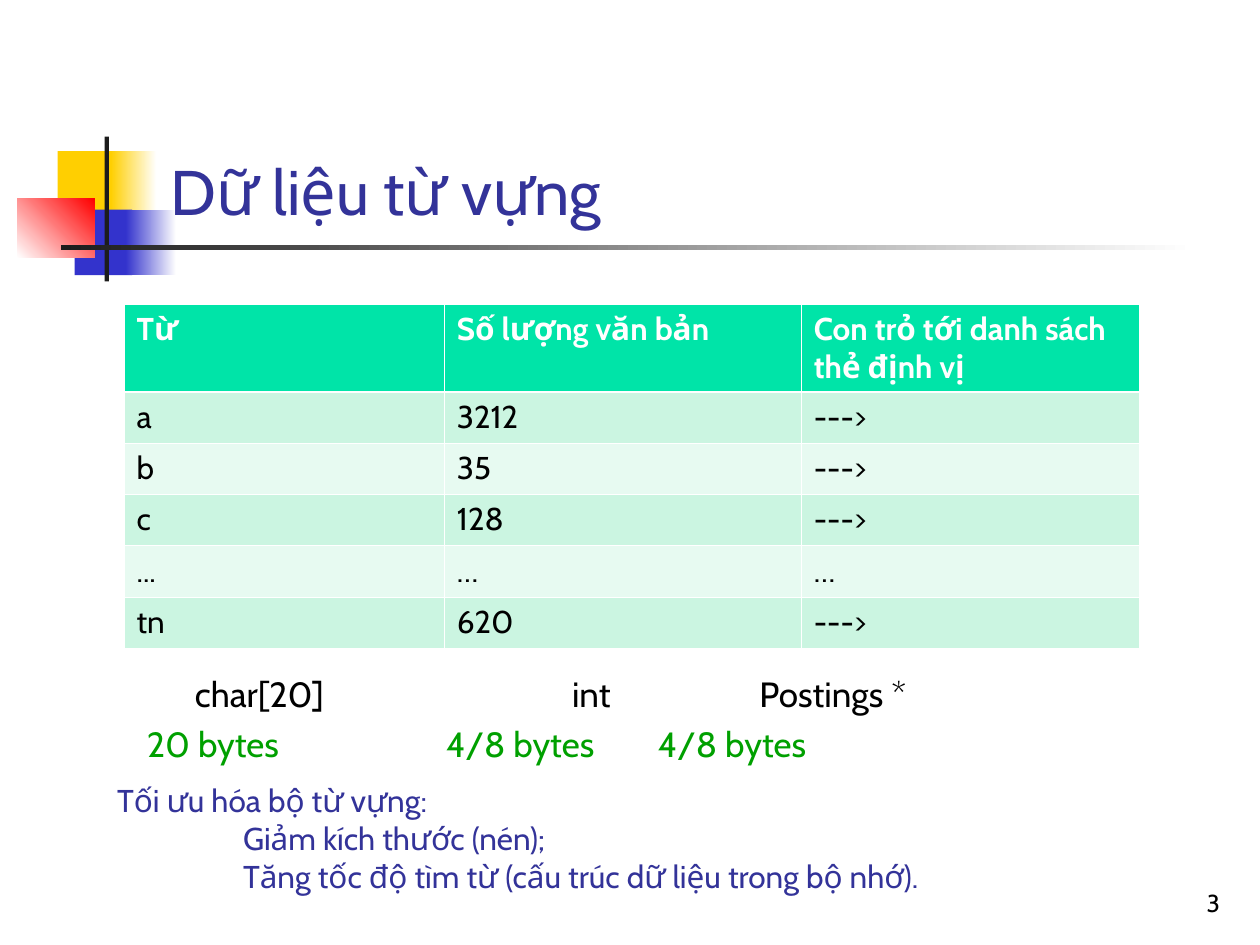
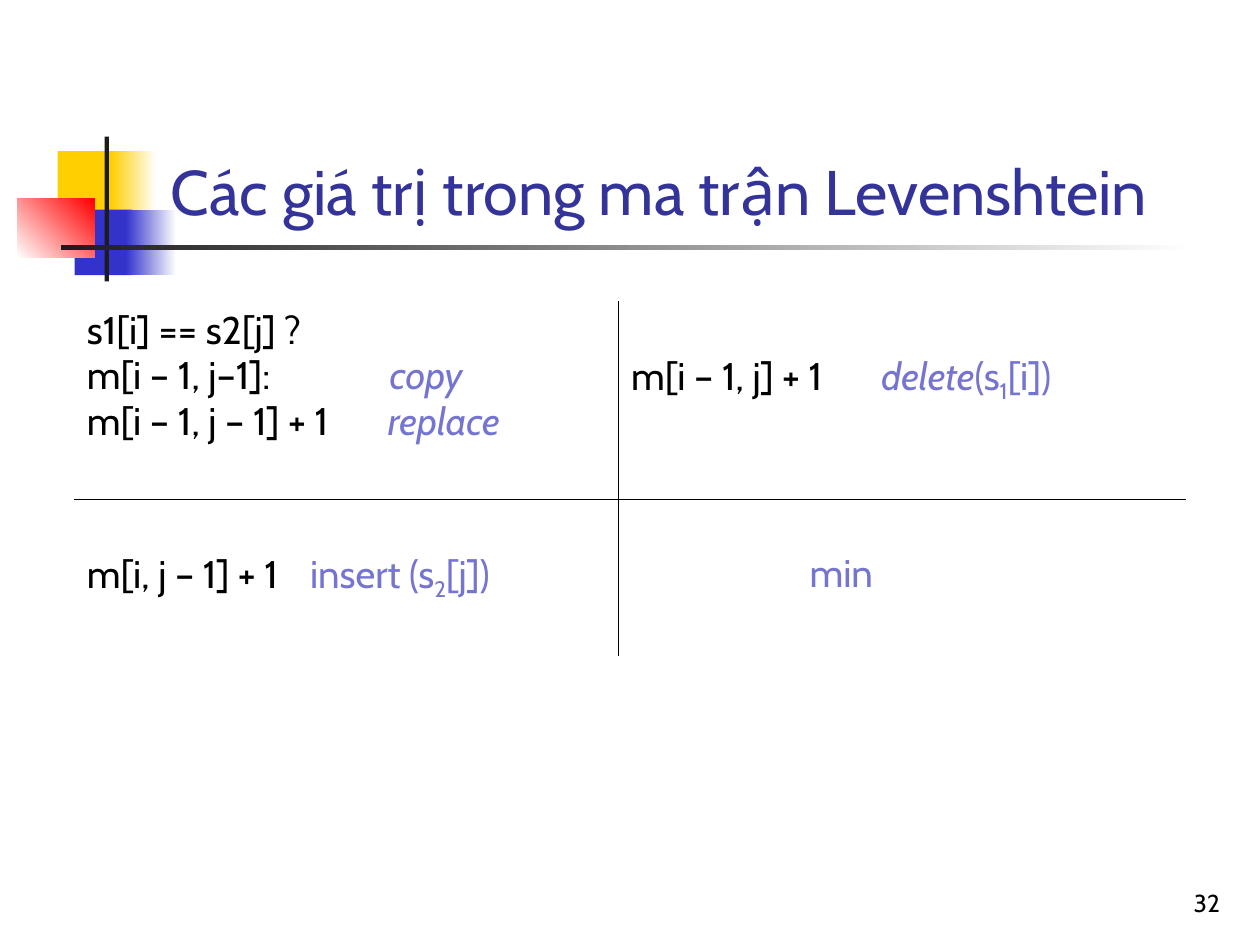
import lxml.etree
import pptx
import pptx.dml.color
import pptx.enum.shapes
import pptx.enum.text
import pptx.oxml.ns
import pptx.util

Pt = pptx.util.Pt
RGBColor = pptx.dml.color.RGBColor
qn = pptx.oxml.ns.qn
RECTANGLE = pptx.enum.shapes.MSO_SHAPE.RECTANGLE
TOP = pptx.enum.text.MSO_ANCHOR.TOP
BOTTOM = pptx.enum.text.MSO_ANCHOR.BOTTOM
RIGHT = pptx.enum.text.PP_ALIGN.RIGHT

WHITE = RGBColor(0xFF, 0xFF, 0xFF)
BLACK = RGBColor(0x00, 0x00, 0x00)
CHARCOAL = RGBColor(0x1C, 0x1C, 0x1C)
YELLOW = RGBColor(0xFF, 0xCF, 0x01)
BLUE = RGBColor(0x33, 0x33, 0xCC)
RED = RGBColor(0xFF, 0x00, 0x00)
INDIGO = RGBColor(0x33, 0x33, 0x99)
LAVENDER = RGBColor(0x75, 0x75, 0xD1)
GREEN = RGBColor(0x00, 0xA0, 0x00)
HEADER_GREEN = RGBColor(0x00, 0xE4, 0xA8)
BANDS = (RGBColor(0xCB, 0xF5, 0xE1), RGBColor(0xE7, 0xFA, 0xF1))

FONT = "Cabin"
HAIRLINE = 0.25
SIDES = ("L", "R", "T", "B")

# left, top, width, height, colours from start to end, angle
ORNAMENT = (
    (33, 86.4, 34.8, 37.4, (YELLOW,), 0),
    (63.4, 86.4, 26, 37.4, (YELLOW, WHITE), 0),
    (42.6, 119.8, 33, 37.4, (BLUE,), 0),
    (72, 119.8, 28.6, 37.4, (BLUE, WHITE), 0),
    (9.9, 113.6, 44.2, 33.6, (WHITE, RED), 45),
    (59.8, 78, 2.5, 82.8, (CHARCOAL,), 0),
    (34.8, 140.2, 648, 2.5, (CHARCOAL, WHITE), 0),
)


class SlideBuilder:
    """Holds the deck, its style and the slide being filled."""

    def __init__(self):
        self.deck = pptx.Presentation()
        self.deck.slide_width, self.deck.slide_height = Pt(720), Pt(540)
        self.page = None

    def new_page(self, title, number):
        self.page = self.deck.slides.add_slide(self.deck.slide_layouts[6])
        for left, top, width, height, colours, angle in ORNAMENT:
            self.block(left, top, width, height, colours, angle)
        self.text((90.2, 16.6, 613.4, 115.2), [title], {"size": Pt(36)}, INDIGO,
                  frame_format={"vertical_anchor": BOTTOM, "margin_bottom": Pt(1.5)})
        self.text((554.4, 491.8, 149.8, 36), [str(number)], {"size": Pt(14)}, BLACK,
                  {"alignment": RIGHT}, frame_format={"vertical_anchor": BOTTOM})

    def block(self, left, top, width, height, colours, angle):
        """Draw a borderless rectangle, plain or with a two-colour gradient."""
        shape = self.page.shapes.add_shape(
            RECTANGLE, Pt(left), Pt(top), Pt(width), Pt(height))
        shape.shadow.inherit = False
        shape.line.fill.background()
        if len(colours) == 1:
            shape.fill.solid()
            shape.fill.fore_color.rgb = colours[0]
            return
        shape.fill.gradient()
        shape.fill.gradient_angle = angle
        for stop, colour in zip(shape.fill.gradient_stops, colours):
            stop.color.rgb = colour

    def text(self, area, paras, font_format, colour, para_format=None, tabs=(),
             frame_format=None):
        box = self.page.shapes.add_textbox(*map(Pt, area))
        frame = box.text_frame
        frame.word_wrap = True
        for name, value in (frame_format or {}).items():
            setattr(frame, name, value)
        self.fill_frame(frame, paras, font_format, colour, para_format, tabs)

    def fill_frame(self, frame, paras, font_format, colour, para_format=None, tabs=()):
        """Fill a frame; a paragraph is a string or a list of (text, changes)."""
        for index, spans in enumerate(paras):
            para = frame.paragraphs[0] if index == 0 else frame.add_paragraph()
            for name, value in (para_format or {}).items():
                setattr(para, name, value)
            if tabs:
                self.set_tabs(para, tabs[index])
            for content, changes in [(spans, {})] if isinstance(spans, str) else spans:
                self.add_span(para, content, {"colour": colour, **font_format, **changes})

    def add_span(self, para, content, style):
        span = para.add_run()
        span.text = content
        span.font.name = FONT
        span.font.color.rgb = style.pop("colour")
        if style.pop("subscript", False):
            span._r.get_or_add_rPr().set("baseline", "-25000")
        for name, value in style.items():
            setattr(span.font, name, value)

    def set_tabs(self, para, positions):
        if not positions:
            return
        tab_list = lxml.etree.SubElement(para._p.get_or_add_pPr(), qn("a:tabLst"))
        for position in positions:
            lxml.etree.SubElement(tab_list, qn("a:tab"),
                                  pos=str(Pt(position)), algn="l")

    def table(self, left, top, widths, heights):
        frame = self.page.shapes.add_table(
            len(heights), len(widths), Pt(left), Pt(top),
            Pt(sum(widths)), Pt(sum(heights)))
        grid = frame.table
        grid.first_row = grid.horz_banding = False
        for column, width in zip(grid.columns, widths):
            column.width = Pt(width)
        for row, height in zip(grid.rows, heights):
            row.height = Pt(height)
        return grid

    def cell(self, cell, paras, font_format, colour, fill, borders,
             tabs=(), margin_top=3.6):
        """Fill one cell; borders maps a side to (width, colour), others are off."""
        properties = cell._tc.get_or_add_tcPr()
        for side in SIDES:
            width, line_colour = borders.get(side, (0, None))
            line = lxml.etree.SubElement(properties, qn("a:ln" + side),
                                         w=str(Pt(width)))
            if line_colour is None:
                lxml.etree.SubElement(line, qn("a:noFill"))
            else:
                paint = lxml.etree.SubElement(line, qn("a:solidFill"))
                lxml.etree.SubElement(paint, qn("a:srgbClr"), val=str(line_colour))
        if fill is None:
            cell.fill.background()
        else:
            cell.fill.solid()
            cell.fill.fore_color.rgb = fill
        cell.vertical_anchor = TOP
        cell.margin_top = Pt(margin_top)
        self.fill_frame(cell.text_frame, paras, font_format, colour,
                        {"line_spacing": 0.98}, tabs)


def add_dictionary_page(builder):
    builder.new_page("Dữ liệu từ vựng", 3)
    rows = (
        ("Từ", "Số lượng văn bản", "Con trỏ tới danh sách thẻ định vị"),
        ("a", "3212", "--->"),
        ("b", "35", "--->"),
        ("c", "128", "--->"),
        ("...", "…", "…"),
        ("tn", "620", "--->"),
    )
    grid = builder.table(70.9, 174, (183, 204, 193), [50] + [29.3] * 5)
    for row, words in enumerate(rows):
        header = row == 0
        borders = {side: (HAIRLINE, WHITE) for side in SIDES}
        if row < 2:
            borders["B" if header else "T"] = (0.75, WHITE)
        for column, word in enumerate(words):
            builder.cell(grid.cell(row, column), [word],
                         {"size": Pt(18), "bold": header},
                         WHITE if header else BLACK,
                         HEADER_GREEN if header else BANDS[(row - 1) % 2], borders)

    field_sizes = (
        ("\tchar[20]\tint\tPostings *", BLACK, 380.5, (44.5, 260, 367)),
        ("\t20 bytes\t4/8 bytes\t4/8 bytes", GREEN, 409.3, (17, 188, 309)),
    )
    for words, colour, top, stops in field_sizes:
        builder.text((59.8, top, 634, 31.5), [words], {"size": Pt(20)}, colour,
                     tabs=[stops])

    goals = [
        "Tối ưu hóa bộ từ vựng:",
        "\tGiảm kích thước (nén);",
        "\tTăng tốc độ tìm từ (cấu trúc dữ liệu trong bộ nhớ).",
    ]
    builder.text((59.8, 442.8, 635, 72), goals, {"size": Pt(18)}, INDIGO,
                 tabs=[(72,)] * len(goals))


def add_levenshtein_page(builder):
    builder.new_page("Các giá trị trong ma trận Levenshtein", 32)
    accent = {"colour": LAVENDER}
    slanted = {**accent, "italic": True}
    lowered = {**accent, "subscript": True}
    replace_case = [
        "s1[i] == s2[j] ?",
        [("m[i – 1, j–1]:\t", {}), ("copy", slanted)],
        [("m[i – 1, j – 1] + 1\t", {}), ("replace", slanted)],
    ]
    delete_case = [[("m[i – 1, j] + 1\t", {}), ("delete", slanted),
                    ("(s", accent), ("1", lowered), ("[i])", accent)]]
    insert_case = [[("m[i, j – 1] + 1\t", {}), ("insert (s", accent),
                    ("2", lowered), ("[j])", accent)]]
    minimum = [[("\tmin", accent)]]
    one_line_down = 29.8
    cases = (
        (0, 0, replace_case, ((), (173,), (172,)), 3.6),
        (0, 1, delete_case, ((143,),), one_line_down),
        (1, 0, insert_case, ((127.5,),), one_line_down),
        (1, 1, minimum, ((102,),), one_line_down),
    )
    grid = builder.table(42.5, 172, (311, 324), (113, 90))
    for row, column, paras, stops, margin_top in cases:
        inner_sides = ("RL"[column], "BT"[row])
        borders = {side: (HAIRLINE, BLACK) for side in inner_sides}
        builder.cell(grid.cell(row, column), paras,
                     {"size": Pt(22), "bold": False}, BLACK, None, borders,
                     stops, margin_top)


def main():
    builder = SlideBuilder()
    add_dictionary_page(builder)
    add_levenshtein_page(builder)
    builder.deck.save("out.pptx")


if __name__ == "__main__":
    main()
